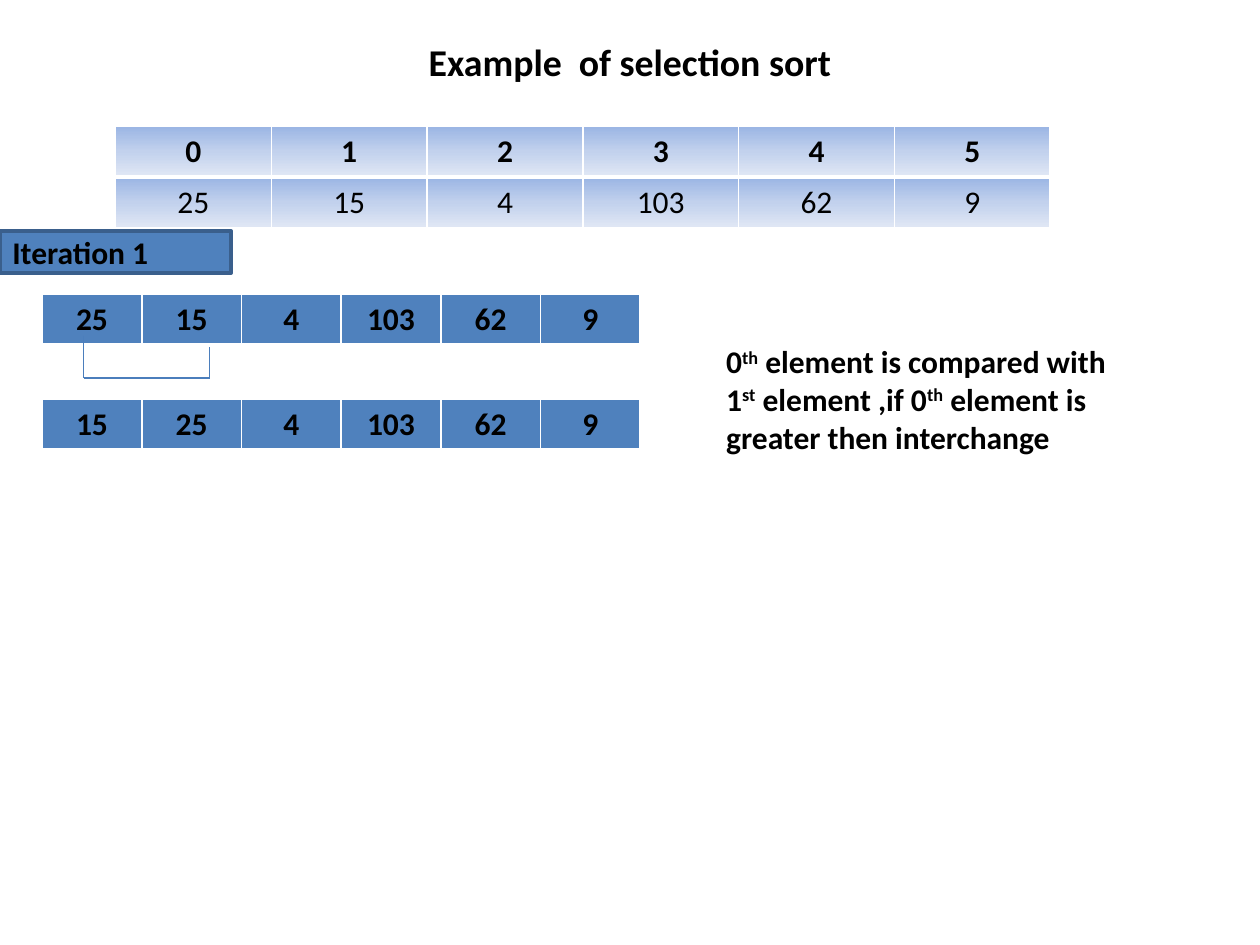
from lxml import etree
from pptx import Presentation
from pptx.dml.color import RGBColor
from pptx.enum import shapes, text
from pptx.oxml import ns
from pptx.util import Cm, Pt

COLORS = {
    "text": "000000", "blue": "4F81BD", "box_line": "3A5F8C",
    "bracket": "4B7EBC", "border": "FFFFFF",
    "grad_top": "9AB5E4", "grad_mid": "C2D1ED", "grad_end": "E1E8F5",
}
FONT = "Calibri"
HEADER_BORDERS = {"L": 1, "R": 1, "T": 1, "B": 3}
BODY_BORDERS = {"L": 1, "R": 1, "T": 1, "B": 1}


def rgb(name):
    return RGBColor.from_string(COLORS[name])


def style(p, size=18, bold=True, align=text.PP_ALIGN.LEFT):
    p.alignment = align
    p.font.name, p.font.size, p.font.bold = FONT, Pt(size), bold
    p.font.color.rgb = rgb("text")


def sub(parent, tag, **attrs):
    return etree.SubElement(parent, ns.qn(tag), attrs)


def add_title(s, title):
    sp = s.shapes.title
    sp.left, sp.top, sp.width, sp.height = Cm(1.27), Cm(0.76), Cm(22.86), Cm(0.94)
    tf = sp.text_frame
    tf.text = title
    tf.auto_size = text.MSO_AUTO_SIZE.NONE
    tf.vertical_anchor = text.MSO_ANCHOR.MIDDLE
    style(tf.paragraphs[0], 21.6, align=text.PP_ALIGN.CENTER)


def set_borders(cell, widths):
    tcPr = cell._tc.get_or_add_tcPr()
    for side, width in widths.items():
        ln = sub(tcPr, f"a:ln{side}", w=str(Pt(width)))
        sub(sub(ln, "a:solidFill"), "a:srgbClr", val=COLORS["border"])


def set_gradient(cell):
    grad = sub(cell._tc.get_or_add_tcPr(), "a:gradFill", rotWithShape="1")
    stops = sub(grad, "a:gsLst")
    for pos, name in ((0, "grad_top"), (50, "grad_mid"), (100, "grad_end")):
        sub(sub(stops, "a:gs", pos=str(pos * 1000)), "a:srgbClr", val=COLORS[name])
    sub(grad, "a:lin", ang="5400000", scaled="0")


def add_array(s, rows, left, top, col_width, gradient=False):
    """Draw an array as a table whose first row is bold."""
    n = len(rows[0])
    row_height = Cm(1.03)
    table = s.shapes.add_table(len(rows), n, left, top,
                               col_width * n, row_height * len(rows)).table
    for col in table.columns:
        col.width = col_width
    for i, row in enumerate(rows):
        table.rows[i].height = row_height
        for j, value in enumerate(row):
            cell = table.cell(i, j)
            cell.text = str(value)
            style(cell.text_frame.paragraphs[0], bold=i == 0,
                  align=text.PP_ALIGN.CENTER)
            set_borders(cell, BODY_BORDERS if i else HEADER_BORDERS)
            if gradient:
                set_gradient(cell)
            else:
                cell.fill.solid()
                cell.fill.fore_color.rgb = rgb("blue")


def add_label(s, label):
    sp = s.shapes.add_shape(shapes.MSO_SHAPE.RECTANGLE,
                            0, Cm(4.66), Cm(4.66), Cm(0.85))
    sp.shadow.inherit = False
    sp.fill.solid()
    sp.fill.fore_color.rgb = rgb("blue")
    sp.line.color.rgb = rgb("box_line")
    sp.line.width = Pt(2)
    tf = sp.text_frame
    tf.text = label
    tf.vertical_anchor = text.MSO_ANCHOR.MIDDLE
    style(tf.paragraphs[0])


def add_bracket(s):
    """Link the two compared elements with three lines."""
    left, right, bottom = Cm(1.69), Cm(4.23), Cm(7.62)
    points = [(left, Cm(6.77)), (left, bottom), (right, bottom), (right, Cm(6.99))]
    for start, end in zip(points, points[1:]):
        line = s.shapes.add_connector(shapes.MSO_CONNECTOR.STRAIGHT, *start, *end)
        line.line.color.rgb = rgb("bracket")
        line.line.width = Pt(0.75)
        sub(line._element.spPr, "a:effectLst")


def add_note(s, parts):
    """Add a text box in which every second part is superscript."""
    tf = s.shapes.add_textbox(Cm(14.39), Cm(6.77), Cm(8.68), Cm(2.56)).text_frame
    tf.word_wrap = True
    tf.auto_size = text.MSO_AUTO_SIZE.SHAPE_TO_FIT_TEXT
    p = tf.paragraphs[0]
    style(p)
    for i, part in enumerate(parts):
        r = p.add_run()
        r.text = part
        if i % 2:
            r._r.get_or_add_rPr().set("baseline", "30000")


def main():
    prs = Presentation()
    prs.slide_width, prs.slide_height = Cm(25.4), Cm(19.05)
    s = prs.slides.add_slide(prs.slide_layouts[5])
    values = [25, 15, 4, 103, 62, 9]
    swapped = [values[1], values[0], *values[2:]]

    add_title(s, "Example  of selection sort")
    add_array(s, [range(len(values)), values], Cm(2.33), Cm(2.54), Cm(3.14),
              gradient=True)
    add_label(s, "Iteration 1")
    add_array(s, [values], Cm(0.85), Cm(5.93), Cm(2.01))
    add_bracket(s)
    add_note(s, ["0", "th", " element is compared with 1", "st",
                 " element ,if 0", "th", " element is greater then interchange"])
    add_array(s, [swapped], Cm(0.85), Cm(8.04), Cm(2.01))
    prs.save("out.pptx")


if __name__ == "__main__":
    main()
